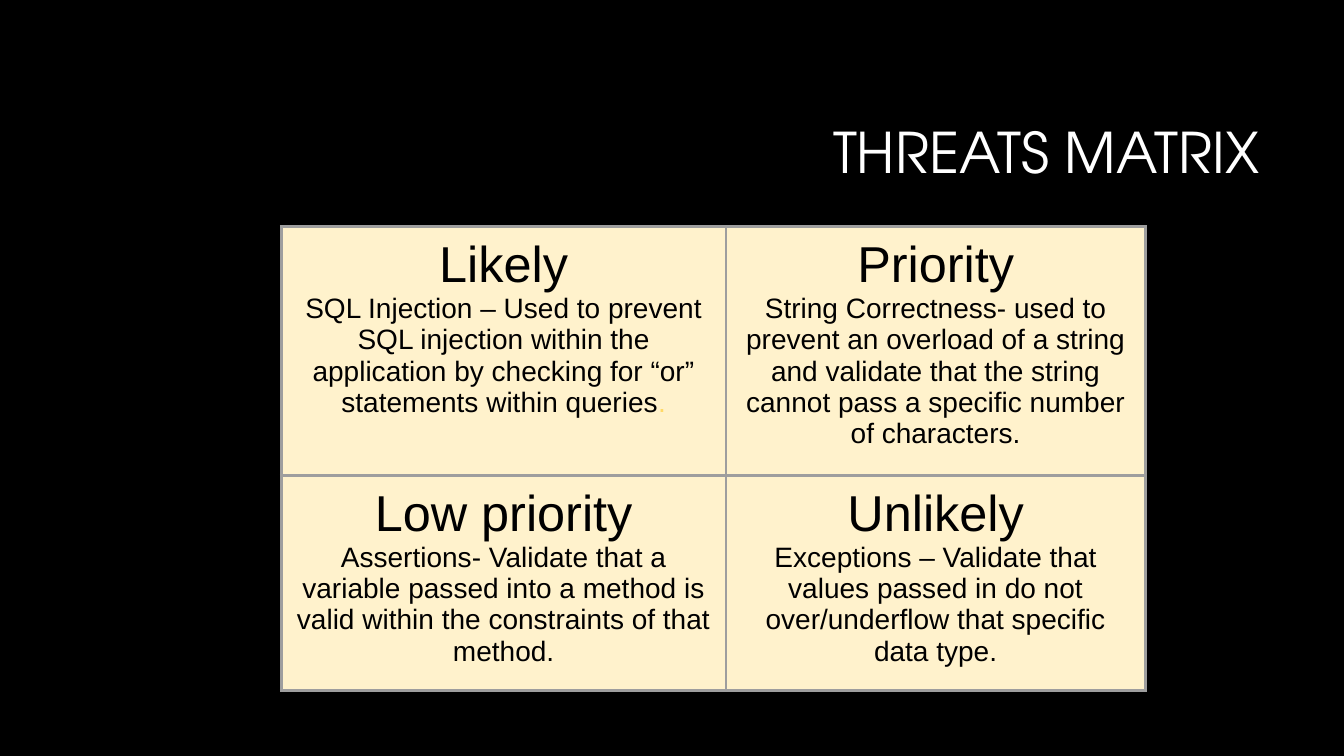
import lxml.etree
import pptx
import pptx.dml.color
import pptx.enum.text
import pptx.oxml.ns
import pptx.util

Inches = pptx.util.Inches
Pt = pptx.util.Pt
RGBColor = pptx.dml.color.RGBColor
ALIGN = pptx.enum.text.PP_ALIGN
ANCHOR = pptx.enum.text.MSO_ANCHOR

BLACK = RGBColor(0x00, 0x00, 0x00)
WHITE = RGBColor(0xFF, 0xFF, 0xFF)
CREAM = RGBColor(0xFF, 0xF2, 0xCC)
GOLD = RGBColor(0xFF, 0xD9, 0x66)
GREY = RGBColor(0x9E, 0x9E, 0x9E)

TITLE_BOX = (Inches(3.17), Inches(0.84), Inches(9.42), Inches(1.41))
MATRIX_BOX = (Inches(2.79), Inches(2.25), Inches(8.57), Inches(4.6))
COLUMN_WIDTHS = (Inches(4.41), Inches(4.16))
ROW_HEIGHT = Inches(1.93)
BORDER_WIDTH = Pt(2.25)
CELL_FORMAT = {side: Inches(0.1) for side in
               ("margin_left", "margin_top", "margin_right", "margin_bottom")}

# Each quadrant: heading, then the text and colour of each span of its body
QUADRANTS = (
    (
        ("Likely", (
            ("SQL Injection – Used to prevent SQL injection within the application "
             "by checking for “or” statements within queries", BLACK),
            (".", GOLD))),
        ("Priority", (
            ("String Correctness- used to prevent an overload of a string and validate "
             "that the string cannot pass a specific number of characters.", BLACK),)),
    ),
    (
        ("Low priority", (
            ("Assertions- Validate that a variable passed into a method is valid "
             "within the constraints of that method.", BLACK),)),
        ("Unlikely", (
            ("Exceptions – Validate that values passed in do not over/underflow "
             "that specific data type.", BLACK),)),
    ),
)


def apply_format(target, values):
    for name, value in values.items():
        setattr(target, name, value)


def add_span(para, text, font, size, color):
    span = para.add_run()
    span.text = text
    apply_format(span.font, {"name": font, "size": Pt(size), "bold": False})
    span.font.color.rgb = color


def add_title(page, box):
    frame = page.shapes.add_textbox(*box).text_frame
    apply_format(frame, {"word_wrap": True, "vertical_anchor": ANCHOR.MIDDLE})
    para = frame.paragraphs[0]
    apply_format(para, {"alignment": ALIGN.RIGHT, "line_spacing": 0.9})
    add_span(para, "THREATS MATRIX", "TeX Gyre Adventor", 40, WHITE)


def add_borders(cell):
    """Draw all four borders; they must come before the fill in the cell's XML."""
    qn = pptx.oxml.ns.qn
    properties = cell._tc.get_or_add_tcPr()
    for position, side in enumerate(("lnL", "lnR", "lnT", "lnB")):
        line = lxml.etree.Element(qn(f"a:{side}"), w=str(BORDER_WIDTH))
        fill = lxml.etree.SubElement(line, qn("a:solidFill"))
        lxml.etree.SubElement(fill, qn("a:srgbClr"), val=str(GREY))
        properties.insert(position, line)


def fill_quadrant(cell, heading, body):
    apply_format(cell, CELL_FORMAT)
    cell.fill.solid()
    cell.fill.fore_color.rgb = CREAM
    add_borders(cell)
    heading_para = cell.text_frame.paragraphs[0]
    body_para = cell.text_frame.add_paragraph()
    for para in (heading_para, body_para):
        para.alignment = ALIGN.CENTER
    add_span(heading_para, heading, "Arial", 36, BLACK)
    for text, color in body:
        add_span(body_para, text, "Arial", 20, color)


def add_matrix(page, box):
    frame = page.shapes.add_table(len(QUADRANTS), len(COLUMN_WIDTHS), *box)
    table = frame.table
    apply_format(table, {"first_row": False, "horz_banding": False})
    for column, width in zip(table.columns, COLUMN_WIDTHS):
        column.width = width
    for row, quadrants in zip(table.rows, QUADRANTS):
        row.height = ROW_HEIGHT
        for cell, (heading, body) in zip(row.cells, quadrants):
            fill_quadrant(cell, heading, body)
    frame.height = box[3]


def main():
    deck = pptx.Presentation()
    apply_format(deck, {"slide_width": Inches(13.33), "slide_height": Inches(7.5)})
    page = deck.slides.add_slide(deck.slide_layouts[6])
    page.background.fill.solid()
    page.background.fill.fore_color.rgb = BLACK
    add_title(page, TITLE_BOX)
    add_matrix(page, MATRIX_BOX)
    deck.save("out.pptx")


if __name__ == "__main__":
    main()
